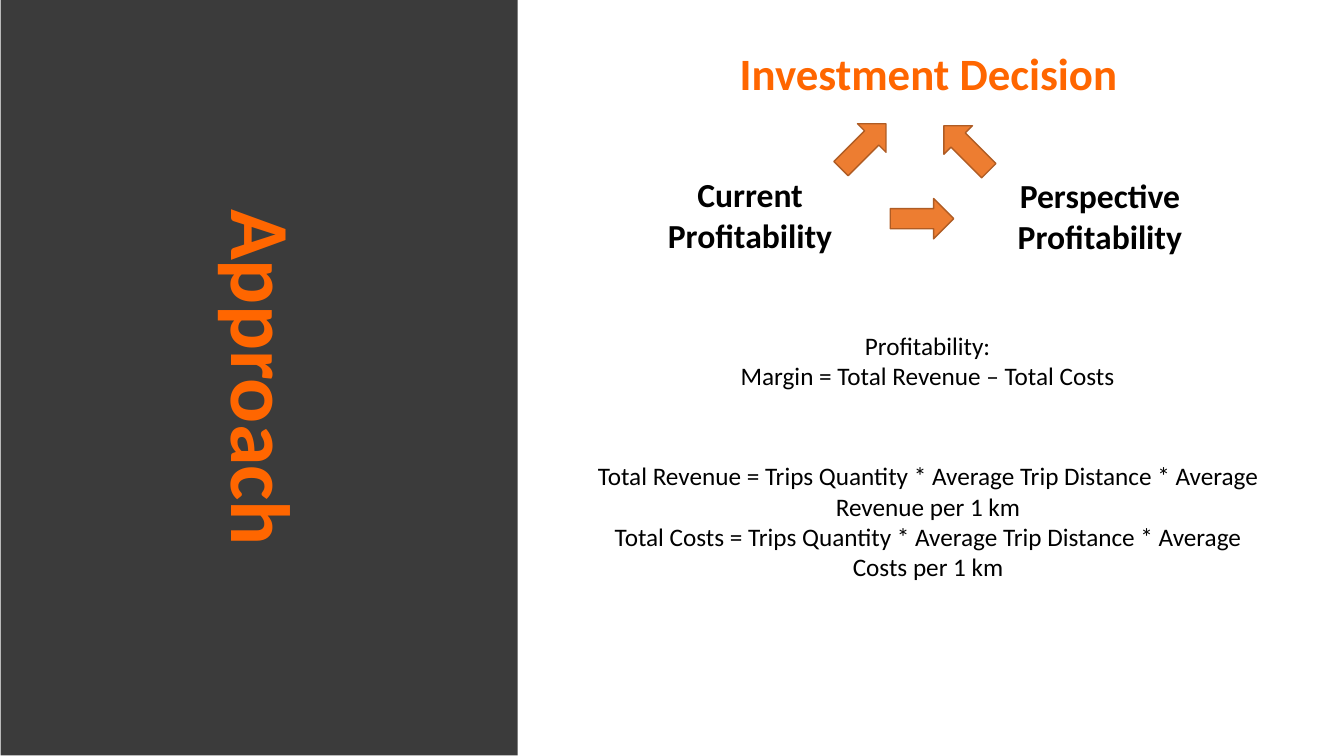
"""Build the Approach slide: profitability logic behind an investment decision."""
from dataclasses import dataclass

import pptx
import pptx.dml.color
import pptx.enum.shapes
import pptx.enum.text
import pptx.util

Inches = pptx.util.Inches
PP_ALIGN = pptx.enum.text.PP_ALIGN
COLORS = {
    "panel": "3B3B3B",
    "accent": "FF6600",
    "text": "000000",
    "arrow": "ED7D31",
    "arrow_line": "AF5C24",
}


@dataclass(frozen=True)
class Label:
    """A centred text box."""
    left: float
    top: float
    width: float
    height: float
    size: int
    lines: tuple[str, ...]
    bold: bool = False
    color: str = "text"
    wrap: bool = True


@dataclass(frozen=True)
class Arrow:
    """A block arrow turned clockwise by an angle."""
    left: float
    top: float
    angle: int


LABELS = (
    Label(7.17, 0.4, 4.08, 0.64, 32, ("Investment Decision",), True, "accent", False),
    Label(6.36, 1.68, 2.16, 0.91, 24, ("Current Profitability",), True),
    Label(9.83, 1.69, 2.16, 0.91, 24, ("Perspective Profitability",), True),
    Label(6.26, 3.23, 5.88, 0.71, 18,
          ("Profitability:", "Margin = Total Revenue – Total Costs")),
    Label(5.74, 4.52, 6.93, 1.31, 18, (
        "Total Revenue = Trips Quantity * Average Trip Distance * Average Revenue per 1 km",
        "Total Costs = Trips Quantity * Average Trip Distance * Average Costs per 1 km")),
)
ARROWS = (Arrow(8.25, 1.25, 315), Arrow(8.83, 1.97, 0), Arrow(9.27, 1.27, 225))


def rgb(name: str) -> pptx.dml.color.RGBColor:
    """Look up a named colour."""
    return pptx.dml.color.RGBColor.from_string(COLORS[name])


def add_run(p, text: str, size: int, color: str, bold: bool) -> None:
    """Add one formatted run to a centred paragraph."""
    p.alignment = PP_ALIGN.CENTER
    r = p.add_run()
    r.text = text
    r.font.name = "Calibri"
    r.font.size = pptx.util.Pt(size)
    r.font.bold = bold
    r.font.color.rgb = rgb(color)


def format_title(sp) -> None:
    """Turn the title into the dark side panel."""
    sp.left, sp.top = Inches(-1.18), Inches(1.18)
    sp.width, sp.height = Inches(7.5), Inches(5.13)
    sp.rotation = 90
    sp.fill.solid()
    sp.fill.fore_color.rgb = rgb("panel")
    tf = sp.text_frame
    tf.auto_size = pptx.enum.text.MSO_AUTO_SIZE.NONE
    tf.vertical_anchor = pptx.enum.text.MSO_ANCHOR.MIDDLE
    p = tf.paragraphs[0]
    p.line_spacing = 0.9
    add_run(p, "Approach", 60, "accent", True)


def add_label(s, label: Label) -> None:
    """Draw a text box with one paragraph per line."""
    sp = s.shapes.add_textbox(Inches(label.left), Inches(label.top),
                              Inches(label.width), Inches(label.height))
    tf = sp.text_frame
    tf.word_wrap = label.wrap
    tf.auto_size = pptx.enum.text.MSO_AUTO_SIZE.SHAPE_TO_FIT_TEXT
    for i, line in enumerate(label.lines):
        p = tf.add_paragraph() if i else tf.paragraphs[0]
        add_run(p, line, label.size, label.color, label.bold)


def add_arrow(s, arrow: Arrow) -> None:
    """Draw a block arrow."""
    sp = s.shapes.add_shape(pptx.enum.shapes.MSO_SHAPE.RIGHT_ARROW,
                            Inches(arrow.left), Inches(arrow.top),
                            Inches(0.63), Inches(0.4))
    sp.rotation = arrow.angle
    sp.shadow.inherit = False
    sp.fill.solid()
    sp.fill.fore_color.rgb = rgb("arrow")
    sp.line.color.rgb = rgb("arrow_line")
    sp.line.width = pptx.util.Pt(1)


def main() -> None:
    """Build and save the slide."""
    prs = pptx.Presentation()
    prs.slide_width, prs.slide_height = Inches(13.33), Inches(7.5)
    s = prs.slides.add_slide(prs.slide_layouts[5])
    format_title(s.shapes.title)
    for label in LABELS:
        add_label(s, label)
    for arrow in ARROWS:
        add_arrow(s, arrow)
    prs.save("out.pptx")


if __name__ == "__main__":
    main()
